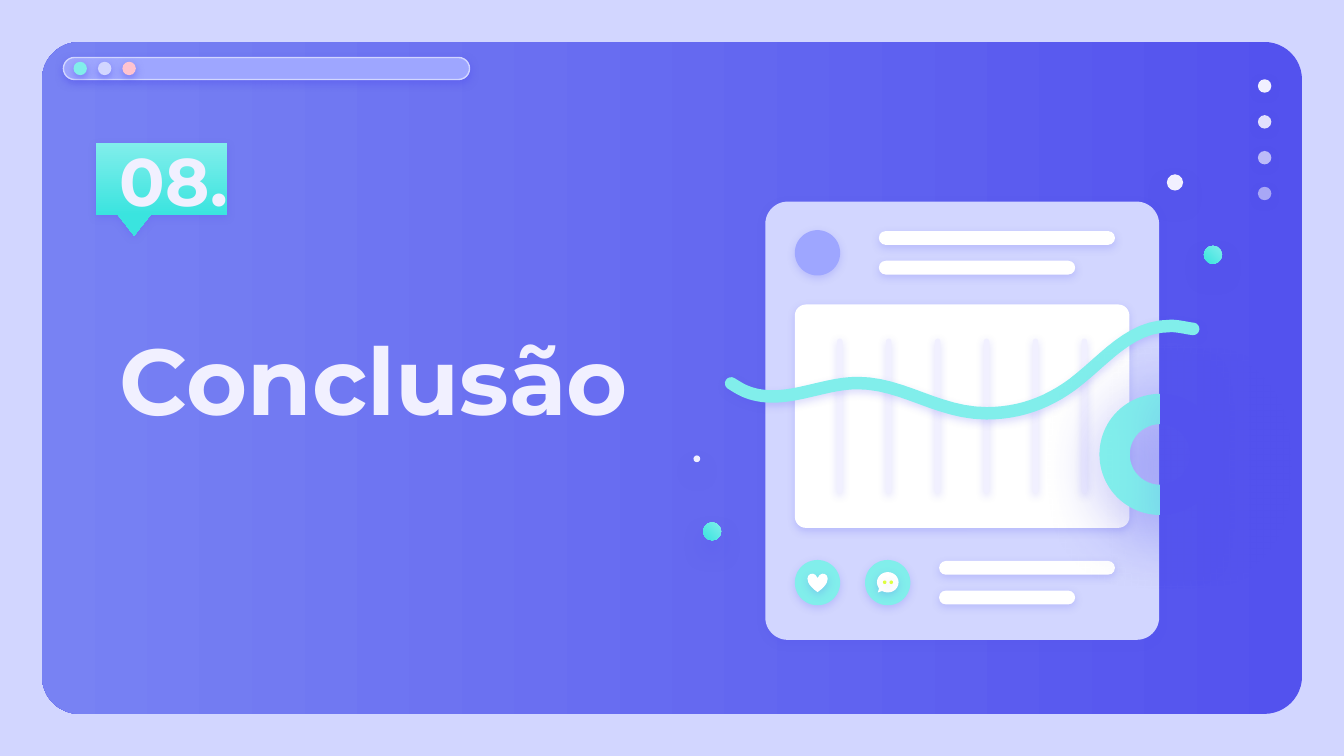
from lxml.etree import SubElement
from pptx import Presentation
from pptx.dml.color import RGBColor
from pptx.enum.shapes import MSO_SHAPE
from pptx.enum.text import MSO_ANCHOR, MSO_AUTO_SIZE, PP_ALIGN
from pptx.oxml.ns import qn
from pptx.util import Pt

COLORS = {
    "lavender": "D2D6FF", "indigo": "5352EE", "blue": "7882F3",
    "periwinkle": "9EA6FF", "aqua": "81EEEB", "teal": "3AE4DF",
    "pink": "FFC3D0", "pale": "F1F0FF", "white": "FFFFFF", "lime": "DEFF3F",
}
SHADOWS = {
    "bar": (50, 4.5, 1.5, 90), "tag": (24, 4.5, 1.5, 90),
    "card": (20, 4.5, 1.5, 90), "ring": (67, 38.2, 9, 49),
    "bubble": (38, 12.4, 6.8, 90),
}
FRAME_FORMAT = {
    "word_wrap": True, "auto_size": MSO_AUTO_SIZE.NONE,
    "margin_left": Pt(7.2), "margin_right": Pt(7.2),
    "margin_top": Pt(7.2), "margin_bottom": Pt(7.2),
}
FONT_FORMAT = {"name": "Montserrat", "bold": True}
WAVE_START = (391.7, 205.4)
WAVE_CURVES = [
    ((396, 208), (401.8, 212.4), (414, 212.4)),
    ((429, 212.4), (444, 205.2), (459.4, 205.2)),
    ((483.8, 205.2), (502.6, 221.4), (528.5, 221.4)),
    ((545.8, 221.4), (560.9, 216), (574.6, 205.9)),
    ((591.8, 193), (604.8, 174.6), (627.1, 174.6)),
    ((631.4, 174.6), (635, 175.7), (639.2, 176.2)),
]


def rgb(color):
    """Return the named colour of the palette."""
    return RGBColor.from_string(COLORS[color])


def add_shadow(shape, kind):
    """Replace the theme shadow with an outer shadow, or with none."""
    shape.shadow.inherit = False
    if kind is None:
        return
    alpha, blur, distance, angle = SHADOWS[kind]
    effects = shape._element.spPr.find(qn("a:effectLst"))
    outer = SubElement(effects, qn("a:outerShdw"), blurRad=str(Pt(blur)),
                       dist=str(Pt(distance)), dir=str(angle * 60000),
                       algn="bl", rotWithShape="0")
    tint = SubElement(outer, qn("a:srgbClr"), val=COLORS["indigo"])
    SubElement(tint, qn("a:alpha"), val=str(alpha * 1000))


def add_solid(slide, preset, box, color, shadow="card", alpha=100, adjust=(), rotation=0):
    """Add a preset shape with a solid fill and no outline."""
    shape = slide.shapes.add_shape(preset, *map(Pt, box))
    shape.fill.solid()
    shape.fill.fore_color.rgb = rgb(color)
    if alpha < 100:
        tint = shape._element.spPr.find(qn("a:solidFill"))[0]
        SubElement(tint, qn("a:alpha"), val=str(alpha * 1000))
    shape.line.fill.background()
    shape.rotation = rotation
    for index, value in enumerate(adjust):
        shape.adjustments[index] = value
    add_shadow(shape, shadow)
    return shape


def add_gradient(slide, preset, box, stops, angle, shadow=None, adjust=()):
    """Add a preset shape with a two-colour linear gradient."""
    shape = add_solid(slide, preset, box, stops[0], shadow, adjust=adjust)
    shape.fill.gradient()
    shape.fill.gradient_angle = angle
    for stop, color in zip(shape.fill.gradient_stops, stops):
        stop.color.rgb = rgb(color)


def add_dot(slide, left, top, size, color, shadow="card", alpha=100):
    """Add a round dot."""
    add_solid(slide, MSO_SHAPE.OVAL, (left, top, size, size), color, shadow, alpha)


def add_pill(slide, left, top, width, height, color):
    """Add a bar with fully round ends."""
    return add_solid(slide, MSO_SHAPE.ROUNDED_RECTANGLE,
                     (left, top, width, height), color, adjust=[0.5])


def write_heading(heading, text, box, size, anchor):
    """Place a heading and format its text."""
    for side, value in zip(("left", "top", "width", "height"), box):
        setattr(heading, side, Pt(value))
    frame = heading.text_frame
    frame.text = text
    for name, value in {**FRAME_FORMAT, "vertical_anchor": anchor}.items():
        setattr(frame, name, value)
    paragraph = frame.paragraphs[0]
    paragraph.alignment = PP_ALIGN.LEFT
    font = paragraph.runs[0].font
    for name, value in {**FONT_FORMAT, "size": Pt(size)}.items():
        setattr(font, name, value)
    font.color.rgb = rgb("pale")


def curve_points(start, curves, steps=12):
    """Return points along a chain of cubic curves."""
    points = []
    for first, second, end in curves:
        for step in range(1, steps + 1):
            t = step / steps
            weights = ((1 - t) ** 3, 3 * t * (1 - t) ** 2, 3 * t * t * (1 - t), t ** 3)
            corners = (start, first, second, end)
            points.append(tuple(Pt(sum(w * c[axis] for w, c in zip(weights, corners)))
                                for axis in (0, 1)))
        start = end
    return points


def add_wave(slide):
    """Draw the thick trend curve with round ends."""
    builder = slide.shapes.build_freeform(*map(Pt, WAVE_START))
    builder.add_line_segments(curve_points(WAVE_START, WAVE_CURVES), close=False)
    wave = builder.convert_to_shape()
    wave.fill.background()
    wave.line.color.rgb = rgb("aqua")
    wave.line.width = Pt(6.7)
    stroke = wave._element.spPr.find(qn("a:ln"))
    stroke.set("cap", "rnd")
    SubElement(stroke, qn("a:round"))
    add_shadow(wave, "card")


def add_window(slide):
    """Draw the window panel with its address bar and dots."""
    add_gradient(slide, MSO_SHAPE.ROUNDED_RECTANGLE, (22.5, 22.5, 675, 360),
                 ("indigo", "blue"), 180, adjust=[0.056])
    address = add_solid(slide, MSO_SHAPE.ROUNDED_RECTANGLE, (34, 30.8, 217.6, 11.8),
                        "periwinkle", "bar", adjust=[0.5])
    address.line.color.rgb = rgb("lavender")
    address.line.width = Pt(0.75)
    for index, color in enumerate(("aqua", "lavender", "pink")):
        add_dot(slide, 39.4 + 13.1 * index, 33.1, 7.2, color, "bar")
    for index, alpha in enumerate((100, 90, 67, 54)):
        add_dot(slide, 673.9 + 0, 42.5 + 19.2 * index, 7.2, "pale", "bar", alpha)


def add_post(slide):
    """Draw the post card with its chart, buttons and text bars."""
    add_solid(slide, MSO_SHAPE.ROUNDED_RECTANGLE, (410, 108, 211, 234.8),
              "lavender", adjust=[0.057])
    for left, top, width in ((470.8, 123.8, 126.5), (470.8, 139.7, 105.2),
                             (503.1, 300.5, 94.2), (503.1, 316.4, 72.9)):
        add_pill(slide, left, top, width, 7.4, "white")
    for left, top, color in ((425.8, 123.3, "periwinkle"), (425.8, 300, "aqua"),
                             (463.4, 300, "aqua")):
        add_dot(slide, left, top, 24.3, color)
    add_solid(slide, MSO_SHAPE.HEART, (432.6, 307.2, 10.8, 10), "white")
    add_solid(slide, MSO_SHAPE.OVAL_CALLOUT, (469.8, 306.5, 11.6, 10.9),
              "white", adjust=[-0.46, 0.5])
    for left in (473, 476.5):
        add_dot(slide, left, 311, 1.9, "lime")
    add_solid(slide, MSO_SHAPE.ROUNDED_RECTANGLE, (425.8, 163.1, 179.3, 119.7),
              "white", adjust=[0.05])
    for index in range(6):
        add_pill(slide, 448.5 + 26.2 * index, 181.4, 2.9, 82.9, "pale")
    add_wave(slide)
    for color, rotation in (("aqua", 270), ("indigo", 90)):
        add_solid(slide, MSO_SHAPE.BLOCK_ARC, (589, 211, 64.9, 64.9), color, "ring",
                  adjust=[108, 0, 0.25], rotation=rotation)


def add_bubbles(slide):
    """Scatter the small bubbles around the post."""
    for left, top in ((645, 131.7), (376.7, 279.8)):
        add_gradient(slide, MSO_SHAPE.OVAL, (left, top, 9.7, 9.7),
                     ("aqua", "teal"), 225, "bubble")
    for left, top, size in ((625.1, 93.4, 8.7), (371.5, 244, 3.6)):
        add_dot(slide, left, top, size, "pale", "bubble")


def main():
    """Build the section slide and save it."""
    deck = Presentation()
    deck.slide_width, deck.slide_height = Pt(720), Pt(405)
    slide = deck.slides.add_slide(deck.slide_layouts[5])
    slide.background.fill.solid()
    slide.background.fill.fore_color.rgb = rgb("lavender")
    add_window(slide)
    add_gradient(slide, MSO_SHAPE.ROUNDED_RECTANGULAR_CALLOUT, (51.5, 76.7, 70, 38.4),
                 ("aqua", "teal"), 270, "tag", [-0.209, 0.79, 0])
    title = slide.shapes.title
    slide.shapes._spTree.append(title._element)
    write_heading(title, "Conclusão", (57, 169.3, 319, 66.2), 50, MSO_ANCHOR.MIDDLE)
    number = slide.shapes.add_textbox(0, 0, 0, 0)
    write_heading(number, "08.", (57, 93.6, 116.6, 31.7), 36, MSO_ANCHOR.BOTTOM)
    add_post(slide)
    add_bubbles(slide)
    deck.save("out.pptx")


if __name__ == "__main__":
    main()
